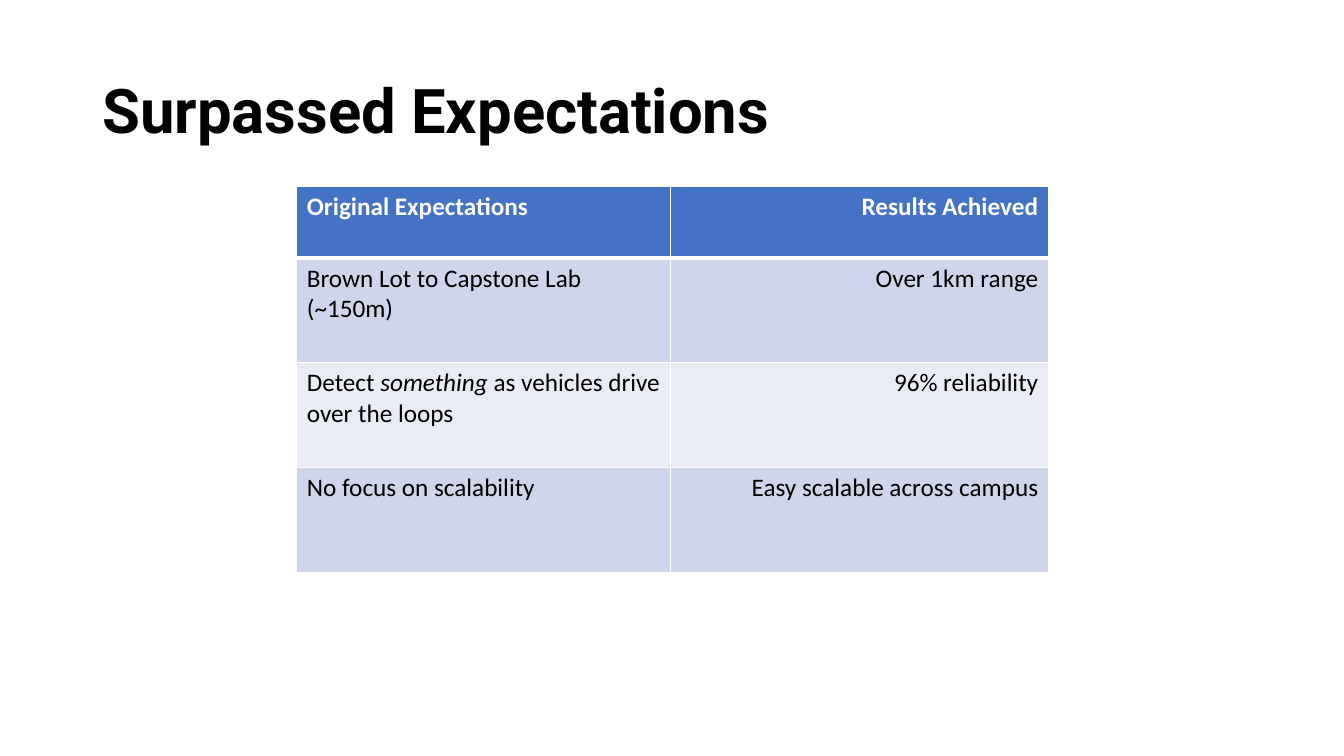
import pptx
import pptx.util
import pptx.dml.color
import pptx.enum.text
import pptx.oxml
import pptx.oxml.ns

COLORS = {
    "white": "FFFFFF",
    "black": "000000",
    "header": "4472C4",
    "band_dark": "CFD5EA",
    "band_light": "E9EBF5",
}
ALIGN = pptx.enum.text.PP_ALIGN
ANCHOR = pptx.enum.text.MSO_ANCHOR
Cm = pptx.util.Cm
Pt = pptx.util.Pt


class SlideBuilder:
    """Holds the deck style and adds elements to the current slide."""

    title_font = {"name": "Roboto", "size": Pt(44), "bold": True}
    cell_font = {"name": "Calibri", "size": Pt(18)}

    def __init__(self, prs):
        self.s = prs.slides.add_slide(prs.slide_layouts[6])

    def color(self, name):
        return pptx.dml.color.RGBColor.from_string(COLORS[name])

    def run(self, p, text, color, **fmt):
        r = p.add_run()
        r.text = text
        for key, value in fmt.items():
            setattr(r.font, key, value)
        r.font.color.rgb = self.color(color)

    def title(self, text, left, top, width, height):
        sp = self.s.shapes.add_textbox(Cm(left), Cm(top), Cm(width), Cm(height))
        tf = sp.text_frame
        tf.word_wrap = True
        tf.vertical_anchor = ANCHOR.MIDDLE
        p = tf.paragraphs[0]
        p.line_spacing = 0.9
        self.run(p, text, "black", **self.title_font)

    def border(self, cell, side, width):
        ns = pptx.oxml.ns.nsdecls("a")
        cell._tc.get_or_add_tcPr().append(pptx.oxml.parse_xml(
            f'<a:ln{side} {ns} w="{Pt(width)}"><a:solidFill>'
            f'<a:srgbClr val="{COLORS["white"]}"/></a:solidFill></a:ln{side}>'))

    def cell(self, cell, runs, fill, color, align, widths, bold):
        for side, width in widths.items():
            self.border(cell, side, width)
        cell.fill.solid()
        cell.fill.fore_color.rgb = self.color(fill)
        p = cell.text_frame.paragraphs[0]
        p.alignment = align
        for text, italic in runs:
            self.run(p, text, color, bold=bold, italic=italic, **self.cell_font)

    def table(self, rows, left, top, col_widths, row_heights):
        table = self.s.shapes.add_table(
            len(rows), len(col_widths), Cm(left), Cm(top),
            Cm(sum(col_widths)), Cm(sum(row_heights))).table
        for column, width in zip(table.columns, col_widths):
            column.width = Cm(width)
        for i, (row, height) in enumerate(zip(rows, row_heights)):
            table.rows[i].height = Cm(height)
            header = i == 0
            fill = "header" if header else ("band_light", "band_dark")[i % 2]
            widths = {"L": 1, "R": 1, "T": 3 if i == 1 else 1, "B": 3 if header else 1}
            for j, content in enumerate(row):
                runs = [(content, False)] if isinstance(content, str) else content
                self.cell(table.cell(i, j), runs, fill,
                          "white" if header else "black",
                          (ALIGN.LEFT, ALIGN.RIGHT)[j], widths, header)


def main():
    prs = pptx.Presentation()
    prs.slide_width, prs.slide_height = Cm(33.87), Cm(19.05)
    slide = SlideBuilder(prs)
    slide.title("Surpassed Expectations", 2.33, 1.01, 29.21, 3.68)
    detection = [("Detect ", False), ("something", True),
                 (" as vehicles drive over the loops", False)]
    rows = [
        ("Original Expectations", "Results Achieved"),
        ("Brown Lot to Capstone Lab (~150m)", "Over 1km range"),
        (detection, "96% reliability"),
        ("No focus on scalability", "Easy scalable across campus"),
    ]
    slide.table(rows, 7.48, 4.7, [9.42, 9.52], [1.8] + [2.64] * 3)
    prs.save("out.pptx")


if __name__ == "__main__":
    main()
